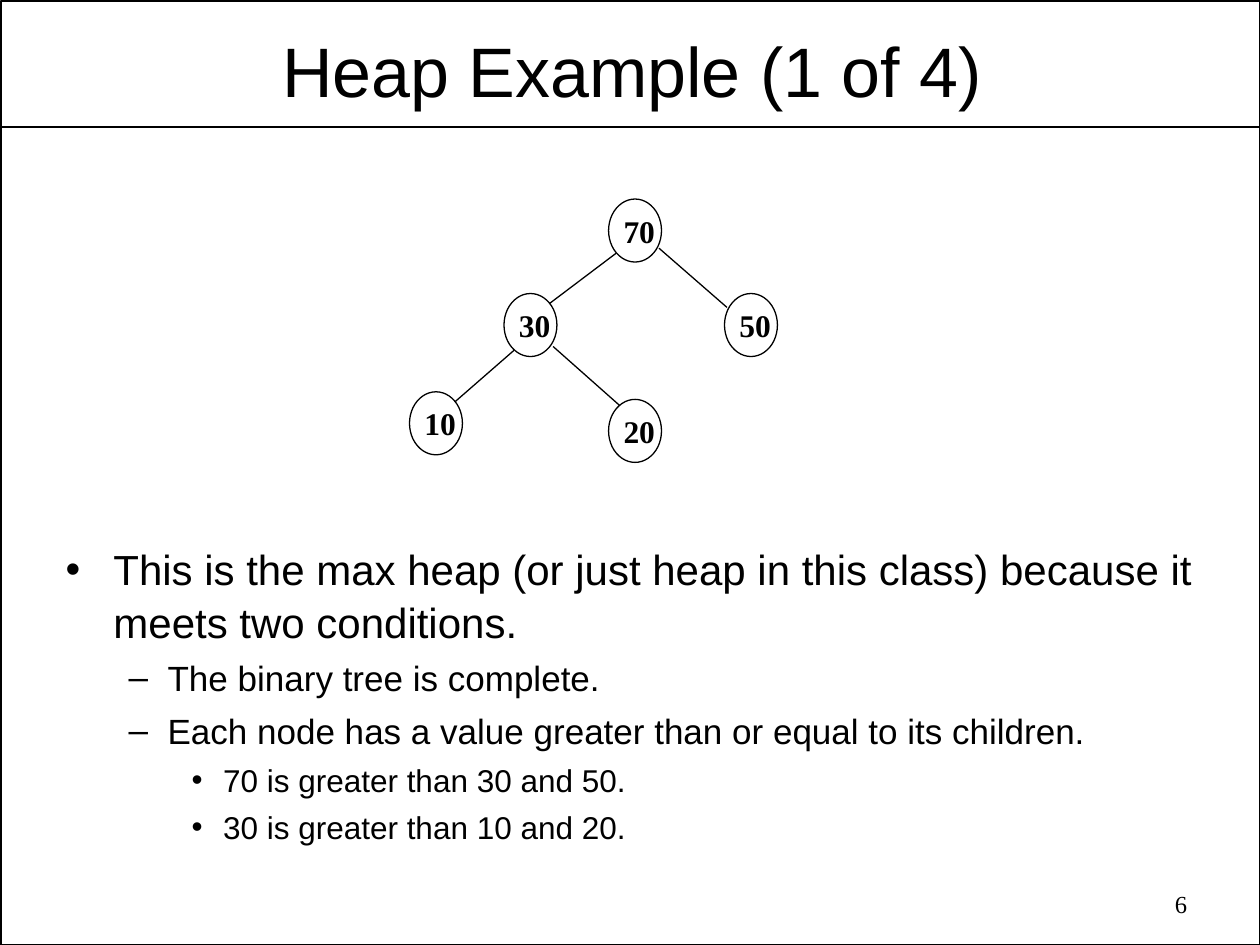
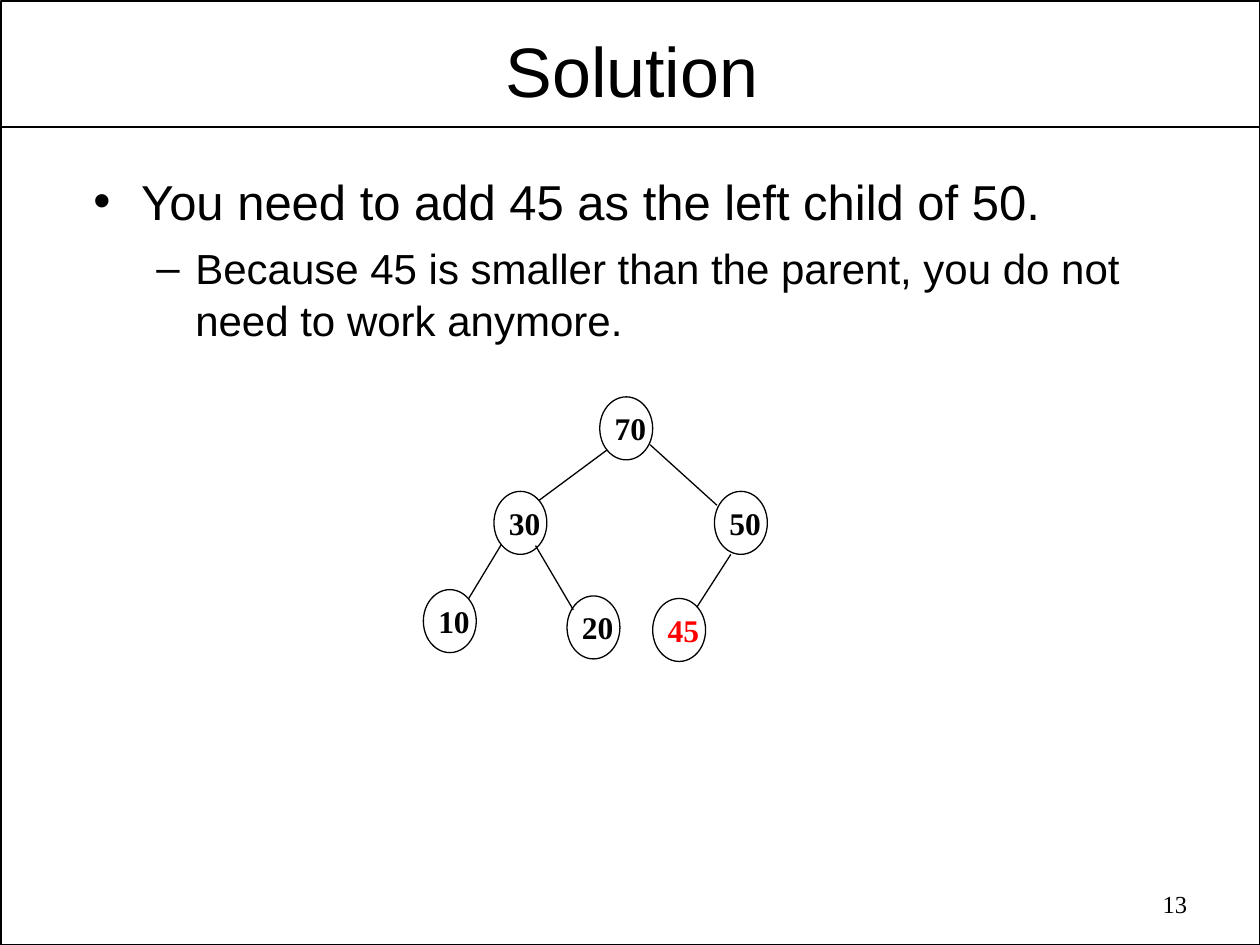
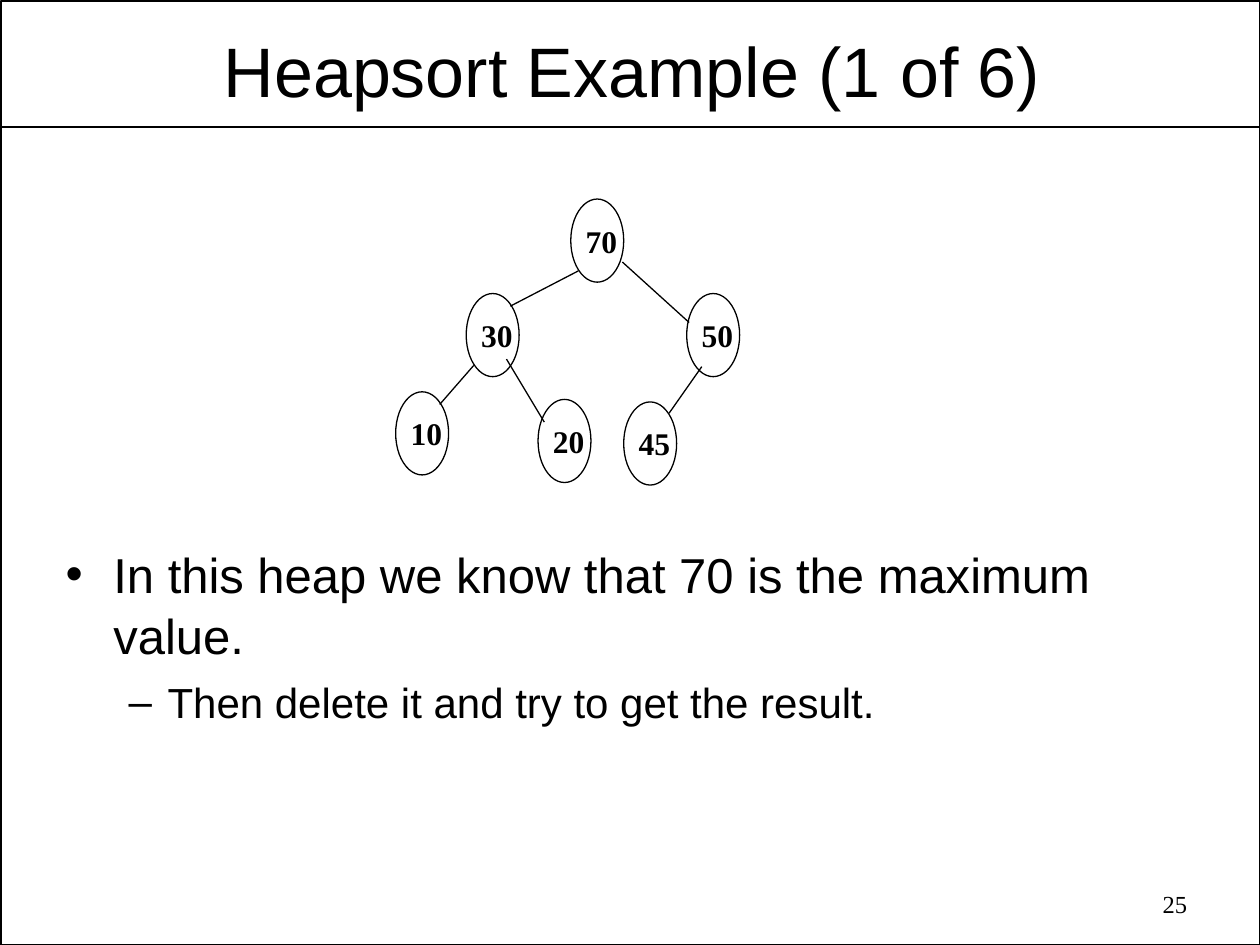
from lxml import etree
from pptx import Presentation
from pptx.dml.color import RGBColor
from pptx.enum.shapes import MSO_CONNECTOR, MSO_SHAPE
from pptx.enum.text import MSO_ANCHOR, MSO_AUTO_SIZE, PP_ALIGN
from pptx.oxml.ns import qn
from pptx.util import Inches, Pt

STRAIGHT = MSO_CONNECTOR.STRAIGHT
OVAL, RECTANGLE = MSO_SHAPE.OVAL, MSO_SHAPE.RECTANGLE
TOP, MIDDLE = MSO_ANCHOR.TOP, MSO_ANCHOR.MIDDLE
LEFT, CENTER, RIGHT = PP_ALIGN.LEFT, PP_ALIGN.CENTER, PP_ALIGN.RIGHT
NO_AUTOFIT = MSO_AUTO_SIZE.NONE

COLORS = {"ink": "000000", "new": "FF0000"}
SANS, SERIF = "Arial", "Times New Roman"

# Bullet, left margin and hanging indent of each list level
LEVELS = [("•", 0.38, 0.38), ("–", 0.81, 0.31), ("•", 1.25, 0.25)]
LINE_SPACING = 1.04

NODE_WIDTH = 0.42
LABEL_WIDTH, LABEL_HEIGHT, LABEL_SHIFT = 0.45, 0.4, 0.02


class HeapDeck:
    """Holds the shared style and the current page."""

    def __init__(self):
        self.deck = Presentation()
        self.deck.slide_width = Inches(10)
        self.deck.slide_height = Inches(7.5)
        self.page = None

    def add_page(self, title, number):
        self.page = self.deck.slides.add_slide(self.deck.slide_layouts[1])
        self.add_outline(self.page.shapes, RECTANGLE, (0.01, 0.01, 9.99, 7.49), 1)
        self.add_line((0.01, 1.01, 9.99, 1.01), 1)
        self.add_title(title)
        self.add_number(number)

    def place(self, shape, bounds):
        shape.left, shape.top, shape.width, shape.height = map(Inches, bounds)

    def prepare(self, frame, side, edge, anchor, wrap=True):
        frame.auto_size = NO_AUTOFIT
        frame.word_wrap = wrap
        frame.vertical_anchor = anchor
        frame.margin_left = frame.margin_right = Inches(side)
        frame.margin_top = frame.margin_bottom = Inches(edge)

    def add_span(self, para, text, font, size, color="ink", bold=False):
        span = para.add_run()
        span.text = text
        span.font.name = font
        span.font.size = Pt(size)
        span.font.bold = bold
        span.font.color.rgb = RGBColor.from_string(COLORS[color])

    def add_title(self, text):
        title = self.page.shapes.title
        self.place(title, (0.53, 0.19, 8.97, 0.72))
        self.prepare(title.text_frame, 0.07, 0.03, MIDDLE)
        para = title.text_frame.paragraphs[0]
        para.alignment = CENTER
        self.add_span(para, text, SANS, 40)

    def add_list(self, bounds, top_size, items):
        """Each item is (level, text); sizes step down from top_size."""
        body = self.page.placeholders[1]
        self.place(body, bounds)
        frame = body.text_frame
        self.prepare(frame, 0.1, 0.05, TOP)
        sizes = [top_size, top_size - 4, top_size - 6]
        for index, (level, text) in enumerate(items):
            para = frame.add_paragraph() if index else frame.paragraphs[0]
            bullet, margin, hanging = LEVELS[level]
            para.level = level
            para.line_spacing = LINE_SPACING
            para.space_before = Pt(sizes[level] / 4 if index else 0)
            properties = para._p.get_or_add_pPr()
            properties.set("marL", str(Inches(margin)))
            properties.set("indent", str(-Inches(hanging)))
            etree.SubElement(properties, qn("a:buChar")).set("char", bullet)
            self.add_span(para, text, SANS, sizes[level])

    def add_text(self, shapes, bounds, text, size, align, color="ink", bold=False, wrap=True):
        box = shapes.add_textbox(*map(Inches, bounds))
        self.prepare(box.text_frame, 0.1, 0.05, TOP, wrap)
        para = box.text_frame.paragraphs[0]
        para.alignment = align
        self.add_span(para, text, SERIF, size, color, bold)

    def add_number(self, number):
        self.add_text(self.page.shapes, (7.18, 7.01, 2.34, 0.36), str(number), 14, RIGHT)

    def add_outline(self, shapes, kind, bounds, weight):
        shape = shapes.add_shape(kind, *map(Inches, bounds))
        shape.shadow.inherit = False
        shape.fill.background()
        self.style_line(shape.line, weight)

    def add_line(self, ends, weight):
        line = self.page.shapes.add_connector(STRAIGHT, *map(Inches, ends))
        self.style_line(line.line, weight)
        etree.SubElement(line._element.spPr, qn("a:effectLst"))

    def style_line(self, line, weight):
        line.color.rgb = RGBColor.from_string(COLORS["ink"])
        line.width = Pt(weight)

    def add_node(self, value, left, top, height, color):
        node = self.page.shapes.add_group_shape()
        label_top = top + (height - LABEL_HEIGHT) / 2
        self.add_text(node.shapes, (left + LABEL_SHIFT, label_top, LABEL_WIDTH, LABEL_HEIGHT),
                      str(value), 18, LEFT, color, bold=True, wrap=False)
        self.add_outline(node.shapes, OVAL, (left, top, NODE_WIDTH, height), 0.75)

    def add_tree(self, nodes, edges, height=0.5, new_value=None):
        for value, (left, top) in nodes.items():
            self.add_node(value, left, top, height, "new" if value == new_value else "ink")
        for ends in edges:
            self.add_line(ends, 0.75)


def main():
    heap = HeapDeck()

    # What makes a heap
    heap.add_page("Heap Example (1 of 4)", 6)
    heap.add_list((0.42, 4.25, 9.17, 2.78), 24, [
        (0, "This is the max heap (or just heap in this class) because it meets two conditions."),
        (1, "The binary tree is complete."),
        (1, "Each node has a value greater than or equal to its children."),
        (2, "70 is greater than 30 and 50."),
        (2, "30 is greater than 10 and 20."),
    ])
    heap.add_tree(
        {70: (4.83, 1.58), 30: (4, 2.33), 50: (5.75, 2.33), 10: (3.25, 3.11), 20: (4.83, 3.17)},
        [(4.89, 2.01, 4.36, 2.41), (5.77, 2.44, 5.23, 1.97),
         (4.08, 2.78, 3.61, 3.19), (4.92, 3.22, 4.39, 2.75)])

    # Adding a value
    heap.add_page("Solution", 13)
    heap.add_list((0.64, 1.29, 9.17, 1.69), 28, [
        (0, "You need to add 45 as the left child of 50."),
        (1, "Because 45 is smaller than the parent, you do not need to work anymore."),
    ])
    heap.add_tree(
        {70: (4.76, 3.15), 30: (3.92, 3.9), 50: (5.67, 3.9),
         10: (3.36, 4.68), 20: (4.5, 4.73), 45: (5.18, 4.75)},
        [(4.82, 3.57, 4.28, 3.97), (5.69, 4.01, 5.16, 3.53), (3.98, 4.32, 3.72, 4.75),
         (4.55, 4.84, 4.25, 4.33), (5.8, 4.4, 5.53, 4.82)],
        new_value=45)

    # Start of the heapsort
    heap.add_page("Heapsort Example (1 of 6)", 25)
    heap.add_list((0.42, 4.25, 9.17, 2.12), 28, [
        (0, "In this heap we know that 70 is the maximum value."),
        (1, "Then delete it and try to get the result."),
    ])
    heap.add_tree(
        {70: (4.53, 1.58), 30: (3.7, 2.33), 50: (5.45, 2.33),
         10: (3.14, 3.11), 20: (4.27, 3.17), 45: (4.95, 3.19)},
        [(4.59, 2.15, 4.05, 2.43), (5.47, 2.56, 4.94, 2.08), (3.76, 2.9, 3.49, 3.21),
         (4.32, 3.35, 4.02, 2.85), (5.57, 2.91, 5.31, 3.28)],
        height=0.66)

    heap.deck.save("out.pptx")


if __name__ == "__main__":
    main()
